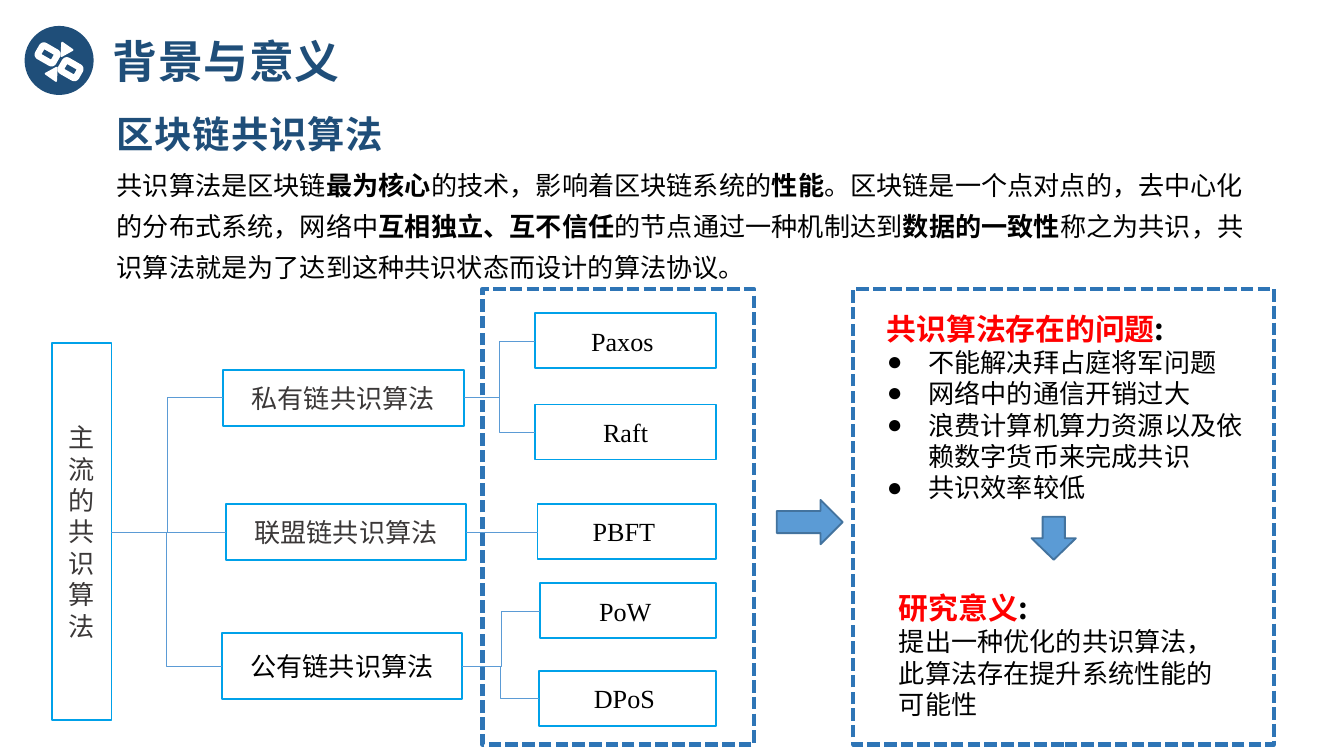
from lxml.etree import SubElement
from pptx import Presentation
from pptx.dml.color import RGBColor
from pptx.enum.dml import MSO_LINE
from pptx.enum.shapes import MSO_CONNECTOR, MSO_SHAPE
from pptx.enum.text import MSO_ANCHOR, MSO_AUTO_SIZE, PP_ALIGN
from pptx.oxml.ns import qn
from pptx.util import Emu, Pt

PX = 9144  # 100 px to the inch
NAVY, BLUE, DARK_BLUE = "1F4E79", "5B9BD5", "43739E"
CYAN, DASH_BLUE = "00A1E9", "2E75B6"
WHITE, BLACK, GRAY, RED = "FFFFFF", "000000", "3B3838", "FF0000"
CJK, SERIF = "Noto Sans CJK SC", "Times New Roman"


def px(value):
    return Emu(value * PX)


def color(hex_text):
    return RGBColor.from_string(hex_text)


class Board:
    """Holds the current slide and the style of its elements."""

    def __init__(self, slide):
        self.shapes = slide.shapes

    def shape(self, kind, at, fill=None, line=CYAN, width=1, dash=None, turn=0):
        shape = self.shapes.add_shape(kind, *map(px, at))
        shape.shadow.inherit = False
        shape.rotation = turn
        if fill:
            shape.fill.solid()
            shape.fill.fore_color.rgb = color(fill)
        else:
            shape.fill.background()
        shape.line.color.rgb = color(line)
        shape.line.width = Pt(width)
        if dash:
            shape.line.dash_style = dash
        return shape

    def span(self, para, text, size, ink=BLACK, bold=False, font=CJK, spacing=0):
        span = para.add_run()
        span.text = text
        span.font.size = Pt(size)
        span.font.bold = bold
        span.font.color.rgb = color(ink)
        span.font.name = font
        properties = span.font._element
        properties.find(qn("a:latin")).addnext(
            SubElement(properties, qn("a:ea"), typeface=font))
        if spacing:
            properties.set("spc", str(spacing))

    def node(self, at, text, ink=BLACK, font=CJK):
        box = self.shape(MSO_SHAPE.RECTANGLE, at)
        frame = box.text_frame
        frame.word_wrap = True
        frame.vertical_anchor = MSO_ANCHOR.MIDDLE
        para = frame.paragraphs[0]
        para.alignment = PP_ALIGN.CENTER
        self.span(para, text, 14, ink, font=font)

    def text(self, at):
        frame = self.shapes.add_textbox(*map(px, at)).text_frame
        frame.word_wrap = True
        frame.auto_size = MSO_AUTO_SIZE.SHAPE_TO_FIT_TEXT
        return frame

    def title(self, at, text, size):
        para = self.text(at).paragraphs[0]
        self.span(para, text, size, NAVY, bold=True, spacing=40)

    def heading(self, frame, text):
        para = frame.paragraphs[0]
        self.span(para, text, 16, RED, bold=True)
        self.span(para, ":", 16, bold=True)

    def bullet(self, frame, text):
        para = frame.add_paragraph()
        properties = para._p.get_or_add_pPr()
        properties.set("marL", str(px(31)))
        properties.set("indent", str(-px(31)))
        SubElement(properties, qn("a:buFont"), typeface=SERIF)
        SubElement(properties, qn("a:buChar"), char="●")
        self.span(para, text, 14)

    def link(self, start, end):
        """Joins two points, with an elbow when their heights differ."""
        kind = MSO_CONNECTOR.STRAIGHT if start[1] == end[1] else MSO_CONNECTOR.ELBOW
        line = self.shapes.add_connector(kind, *map(px, start + end))
        line.line.color.rgb = color(BLUE)
        line.line.width = Pt(0.5)
        SubElement(line._element.spPr, qn("a:effectLst"))


def draw_badge(board):
    board.shape(MSO_SHAPE.OVAL, (19, 20, 50, 50), NAVY, NAVY)
    for left, top in ((29, 36), (46, 47)):
        board.shape(MSO_SHAPE.ROUNDED_RECTANGLE, (left, top, 13, 9),
                    NAVY, WHITE, 3.5, turn=30)
    for left, top, turn in ((45, 33, 93), (33, 51, 273)):
        board.shape(MSO_SHAPE.ISOSCELES_TRIANGLE, (left, top, 10, 8),
                    WHITE, WHITE, turn=turn)


def draw_intro(board):
    board.title((74, 20, 301, 50), "背景与意义", 24)
    board.title((77, 78, 220, 44), "区块链共识算法", 20)
    para = board.text((77, 114, 867, 103)).paragraphs[0]
    para.line_spacing = Pt(22)
    pieces = (
        "共识算法是区块链", "最为核心", "的技术，影响着区块链系统的", "性能",
        "。区块链是一个点对点的，去中心化的分布式系统，网络中",
        "互相独立、互不信任", "的节点通过一种机制达到", "数据的一致性",
        "称之为共识，共识算法就是为了达到这种共识状态而设计的算法协议。",
    )
    for index, piece in enumerate(pieces):
        board.span(para, piece, 14, bold=index % 2 == 1)


def draw_tree(board):
    root = (83, 396)
    leaf_right, leaf_height = 533, 41
    # name, box, ink, link height, leaves as (name, left, top)
    branches = (
        ("私有链共识算法", (166, 275, 179, 42), GRAY, 296,
         (("Paxos ", 398, 233), ("Raft", 398, 301))),
        ("联盟链共识算法", (168, 375, 179, 42), GRAY, 396,
         (("PBFT ", 400, 375),)),
        ("公有链共识算法", (165, 471, 179, 49), BLACK, 496,
         (("PoW ", 402, 434), ("DPoS ", 401, 499))),
    )
    board.node((39, 255, 44, 281), "主流的共识算法", GRAY)
    for name, box, ink, middle, leaves in branches:
        left, top, width, height = box
        board.node(box, name, ink)
        board.link(root, (left, middle))
        for leaf, leaf_left, leaf_top in leaves:
            board.node((leaf_left, leaf_top, leaf_right - leaf_left, leaf_height),
                       leaf, font=SERIF)
            board.link((left + width, middle),
                       (leaf_left, leaf_top + leaf_height // 2 + 1))


def draw_findings(board):
    for left, width in ((359, 202), (635, 313)):
        board.shape(MSO_SHAPE.RECTANGLE, (left, 215, width, 339),
                    line=DASH_BLUE, width=2.25, dash=MSO_LINE.SQUARE_DOT)
    for at, turn in (((578, 372, 49, 33), 0), ((768, 384, 32, 33), 90)):
        board.shape(MSO_SHAPE.RIGHT_ARROW, at, BLUE, DARK_BLUE, turn=turn)

    problems = board.text((650, 226, 291, 155))
    board.heading(problems, "共识算法存在的问题")
    for problem in ("不能解决拜占庭将军问题", "网络中的通信开销过大",
                    "浪费计算机算力资源以及依赖数字货币来完成共识", "共识效率较低"):
        board.bullet(problems, problem)

    meaning = board.text((659, 434, 270, 108))
    board.heading(meaning, "研究意义")
    board.span(meaning.add_paragraph(),
               "提出一种优化的共识算法，此算法存在提升系统性能的可能性", 14)


def main():
    deck = Presentation()
    deck.slide_width = px(1000)
    deck.slide_height = Emu(deck.slide_width * 9 // 16)
    board = Board(deck.slides.add_slide(deck.slide_layouts[6]))
    draw_badge(board)
    draw_intro(board)
    draw_tree(board)
    draw_findings(board)
    deck.save("out.pptx")


if __name__ == "__main__":
    main()
